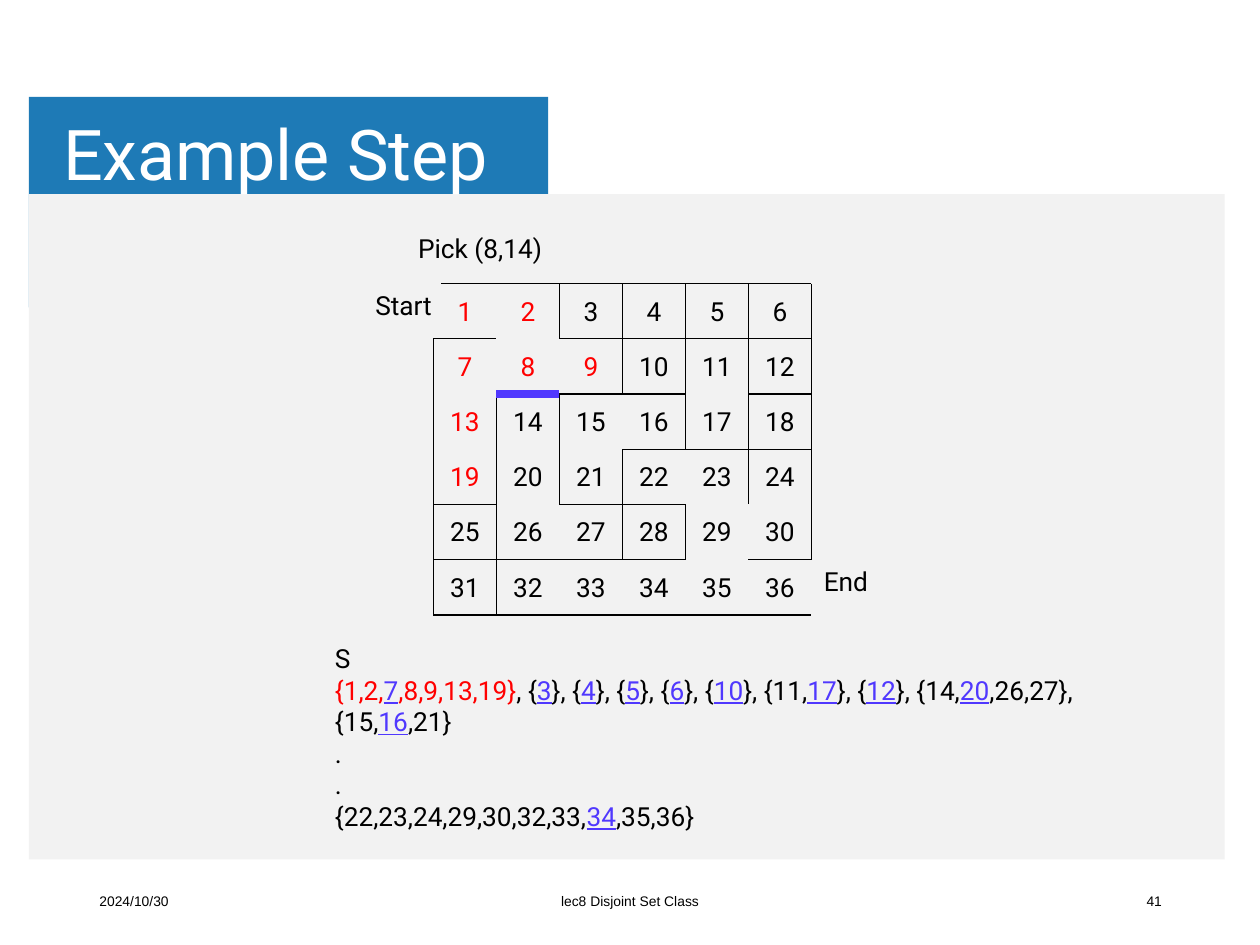
import dataclasses

import pptx
import pptx.dml.color
import pptx.enum.shapes
import pptx.enum.text
import pptx.oxml
import pptx.util

Inches = pptx.util.Inches
ALIGN = pptx.enum.text.PP_ALIGN
ANCHOR = pptx.enum.text.MSO_ANCHOR
AUTO_SIZE = pptx.enum.text.MSO_AUTO_SIZE


@dataclasses.dataclass(frozen=True)
class Theme:
    banner: str = "1E7AB6"
    panel: str = "F2F2F2"
    white: str = "FFFFFF"
    ink: str = "000000"
    visited: str = "FF0000"
    accent: str = "5038FE"
    body_font: str = "Roboto"
    footer_font: str = "Arial"
    title_size: float = 40
    body_size: float = 15
    footer_size: float = 7.9
    wall_width: float = 0.75
    picked_width: float = 4.5


class SlideBuilder:
    def __init__(self, slide, theme):
        self.slide = slide
        self.theme = theme

    def style(self, run, color, size=None, font=None):
        run.font.size = pptx.util.Pt(size or self.theme.body_size)
        run.font.name = font or self.theme.body_font
        run.font.color.rgb = pptx.dml.color.RGBColor.from_string(color)

    def panel(self, left, top, width, height, color):
        panel = self.slide.shapes.add_shape(
            pptx.enum.shapes.MSO_SHAPE.RECTANGLE,
            Inches(left), Inches(top), Inches(width), Inches(height))
        panel.shadow.inherit = False
        panel.fill.solid()
        panel.fill.fore_color.rgb = pptx.dml.color.RGBColor.from_string(color)
        panel.line.fill.background()

    def title(self, text, left, top, width, height):
        title = self.slide.shapes.title
        title.left, title.top = Inches(left), Inches(top)
        title.width, title.height = Inches(width), Inches(height)
        frame = title.text_frame
        frame.text = text
        frame.auto_size = AUTO_SIZE.NONE
        frame.vertical_anchor = ANCHOR.MIDDLE
        frame.margin_left = frame.margin_right = Inches(0.07)
        frame.margin_top = frame.margin_bottom = Inches(0.04)
        heading = frame.paragraphs[0]
        heading.alignment = ALIGN.LEFT
        heading.line_spacing = 0.9
        self.style(heading.runs[0], self.theme.white, self.theme.title_size)
        # Bring the title in front of the panels
        self.slide.shapes.element.append(title.element)

    def box(self, left, top, width, height, wrap=False, grow=False,
            anchor=ANCHOR.TOP):
        box = self.slide.shapes.add_textbox(
            Inches(left), Inches(top), Inches(width), Inches(height))
        frame = box.text_frame
        frame.word_wrap = wrap
        frame.auto_size = AUTO_SIZE.SHAPE_TO_FIT_TEXT if grow else AUTO_SIZE.NONE
        frame.vertical_anchor = anchor
        return frame

    def label(self, text, left, top, width, height, color=None, size=None,
              font=None, align=ALIGN.LEFT, **layout):
        frame = self.box(left, top, width, height, **layout)
        frame.text = text
        frame.paragraphs[0].alignment = align
        self.style(frame.paragraphs[0].runs[0], color or self.theme.ink, size, font)

    def set_list(self, lines, left, top, width, height):
        """Write (text, colour) chunks; _n_ marks the root of a set."""
        frame = self.box(left, top, width, height, wrap=True, grow=True)
        for number, chunks in enumerate(lines):
            line = frame.add_paragraph() if number else frame.paragraphs[0]
            for text, color in chunks:
                for position, part in enumerate(text.split("_")):
                    is_root = position % 2 == 1
                    run = line.add_run()
                    run.text = part
                    self.style(run, self.theme.accent if is_root else color)
                    if is_root:
                        run.font.underline = True

    def wall(self, x1, y1, x2, y2, color=None, width=None):
        wall = self.slide.shapes.add_connector(
            pptx.enum.shapes.MSO_CONNECTOR.STRAIGHT,
            Inches(x1), Inches(y1), Inches(x2), Inches(y2))
        wall.line.color.rgb = pptx.dml.color.RGBColor.from_string(
            color or self.theme.ink)
        wall.line.width = pptx.util.Pt(width or self.theme.wall_width)
        wall.element.spPr.append(pptx.oxml.parse_xml(
            '<a:effectLst xmlns:a='
            '"http://schemas.openxmlformats.org/drawingml/2006/main"/>'))


# Maze geometry and its remaining walls
SIZE = 6
LEFT, TOP = 3.44, 2.25
CELL_WIDTH, CELL_HEIGHT = 3 / SIZE, 2.63 / SIZE
VISITED = {1, 2, 7, 8, 9, 13, 19}
PICKED = (2, 1)  # grid line and column of the wall between 8 and 14
WALLS_RIGHT_OF = [  # vertical grid lines walled in each row
    (2, 3, 4, 5, 6), (3, 4, 5, 6), (1, 2, 4, 5, 6),
    (1, 2, 3, 5, 6), (1, 3, 4, 6), (1,)]
WALLS_ABOVE = [  # columns walled on each horizontal grid line
    (1, 2, 3, 4, 5), (0, 2, 3, 4, 5), (1, 2, 3, 5),
    (3, 4, 5), (0, 2, 3), (0, 1, 2, 3, 5), (5,)]


def grid_x(column):
    return LEFT + column * CELL_WIDTH


def grid_y(row):
    return TOP + row * CELL_HEIGHT


def draw_maze(builder):
    theme = builder.theme
    for row, columns in enumerate(WALLS_RIGHT_OF):
        for column in columns:
            builder.wall(grid_x(column), grid_y(row),
                         grid_x(column), grid_y(row + 1))
    for row, columns in enumerate(WALLS_ABOVE):
        for column in columns:
            picked = (row, column) == PICKED
            builder.wall(grid_x(column), grid_y(row),
                         grid_x(column + 1), grid_y(row),
                         theme.accent if picked else theme.ink,
                         theme.picked_width if picked else theme.wall_width)
    # Long outer walls and the short one above the entrance
    builder.wall(grid_x(5), grid_y(SIZE), LEFT, grid_y(SIZE))
    builder.wall(LEFT, grid_y(SIZE), LEFT, grid_y(1))
    builder.wall(3.5, TOP, 4, TOP)
    # Cell numbers
    for cell in range(SIZE * SIZE):
        row, column = divmod(cell, SIZE)
        builder.label(str(cell + 1), grid_x(column) + 0.06, grid_y(row) + 0.06,
                      0.38, 0.31, align=ALIGN.CENTER, anchor=ANCHOR.MIDDLE,
                      color=theme.visited if cell + 1 in VISITED else theme.ink)


def main():
    deck = pptx.Presentation()
    deck.slide_width, deck.slide_height = Inches(10), Inches(7.5)
    theme = Theme()
    builder = SlideBuilder(deck.slides.add_slide(deck.slide_layouts[5]), theme)

    # Banner, content panel and title
    builder.panel(0.23, 0.77, 4.12, 1.67, theme.banner)
    builder.panel(0.23, 1.54, 9.49, 5.28, theme.panel)
    builder.title("Example Step", 0.43, 0.76, 8.03, 0.98)

    # Footer
    for text, left, width, align in (
            ("2024/10/30", 0.69, 2.25, ALIGN.LEFT),
            ("lec8 Disjoint Set Class", 3.31, 3.38, ALIGN.CENTER),
            ("41", 7.07, 2.25, ALIGN.RIGHT)):
        builder.label(text, left, 6.95, width, 0.4, size=theme.footer_size,
                      font=theme.footer_font, align=align, wrap=True,
                      anchor=ANCHOR.MIDDLE)

    # Maze with its labels
    draw_maze(builder)
    builder.label("Start", 2.88, 2.25, 0.68, 0.35, grow=True)
    builder.label("End", 6.44, 4.44, 0.58, 0.35, grow=True)
    builder.label("Pick (8,14)", 3.22, 1.79, 1.26, 0.35, grow=True)

    # Disjoint sets
    builder.set_list([
        [("S", theme.ink)],
        [("{1,2,_7_,8,9,13,19}", theme.visited),
         (", {_3_}, {_4_}, {_5_}, {_6_}, {_10_}, {11,_17_}, {_12_}, "
          "{14,_20_,26,27},{15,_16_,21}", theme.ink)],
        [(".", theme.ink)],
        [(".", theme.ink)],
        [("{22,23,24,29,30,32,33,_34_,35,36}", theme.ink)],
    ], 2.56, 5.05, 6.79, 1.61)

    deck.save("out.pptx")


if __name__ == "__main__":
    main()
